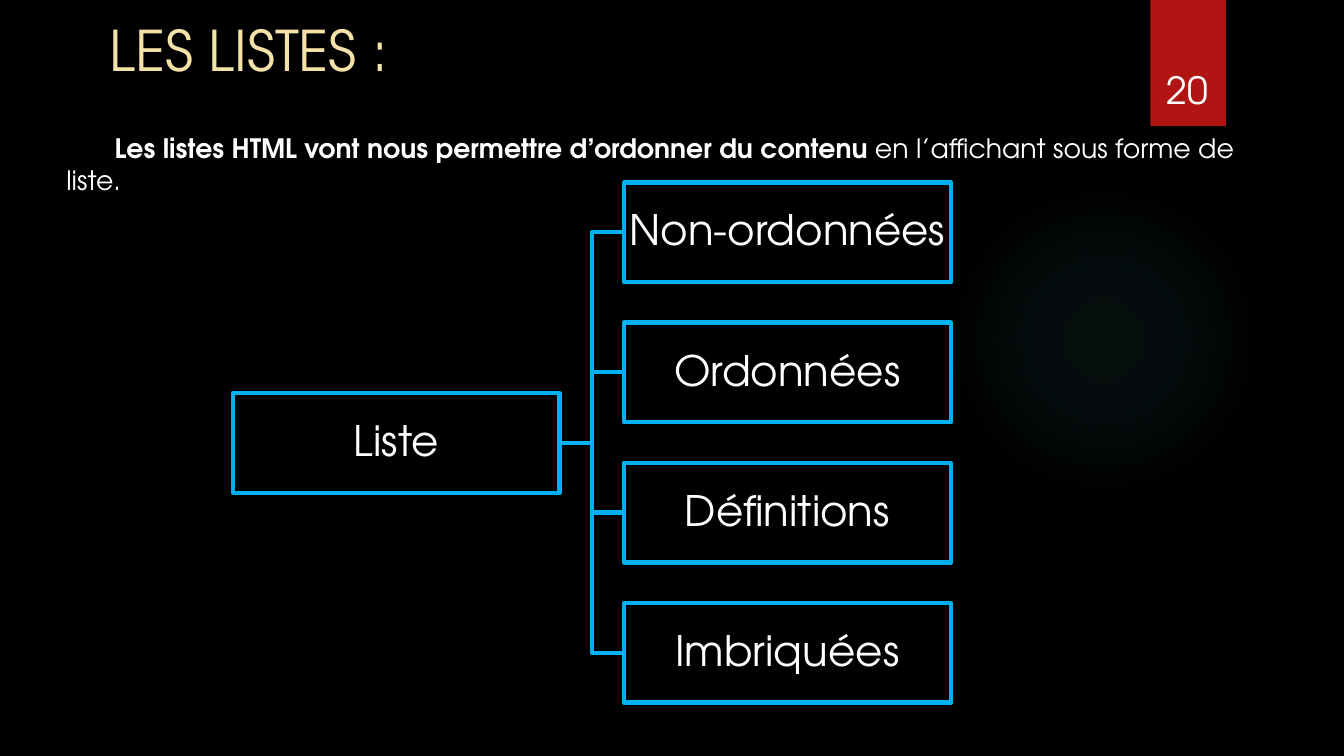
from lxml.etree import SubElement
from pptx import Presentation
from pptx.dml.color import RGBColor
from pptx.enum.shapes import MSO_CONNECTOR, MSO_SHAPE
from pptx.enum.text import MSO_ANCHOR, PP_ALIGN
from pptx.oxml import parse_xml
from pptx.oxml.ns import nsdecls, qn
from pptx.util import Inches, Pt


def rgb(color):
    return RGBColor.from_string(color)


class SlideBuilder:
    FONT = "TeX Gyre Adventor"
    WHITE = "FFFFFF"
    GOLD = "F5E2A9"
    RED = "B01513"
    BLUE = "00B0F0"
    GLOW = "50B9C1"

    def __init__(self, prs):
        self.s = prs.slides.add_slide(prs.slide_layouts[6])
        self.s.background.fill.solid()
        self.s.background.fill.fore_color.rgb = rgb("000000")

    def shape(self, kind, x, y, w, h):
        sp = self.s.shapes.add_shape(kind, Inches(x), Inches(y), Inches(w), Inches(h))
        sp.shadow.inherit = False
        return sp

    def glow(self, x, y, size):
        sp = self.shape(MSO_SHAPE.OVAL, x, y, size, size)
        sp.line.fill.background()
        stops = "".join(
            f'<a:gs pos="{pos}000"><a:srgbClr val="{self.GLOW}">'
            f'<a:alpha val="{alpha}000"/></a:srgbClr></a:gs>'
            for pos, alpha in ((0, 7), (36, 6), (69, 0), (100, 0))
        )
        grad = parse_xml(
            f'<a:gradFill {nsdecls("a")}><a:gsLst>{stops}</a:gsLst><a:path path="circle">'
            '<a:fillToRect l="50000" t="50000" r="50000" b="50000"/></a:path></a:gradFill>'
        )
        sp._element.spPr.find(qn("a:prstGeom")).addnext(grad)

    def banner(self, x, y, w, h):
        sp = self.shape(MSO_SHAPE.RECTANGLE, x, y, w, h)
        sp.fill.solid()
        sp.fill.fore_color.rgb = rgb(self.RED)
        sp.line.fill.background()

    def add_runs(self, tf, runs, size, color, align, anchor):
        tf.word_wrap = True
        tf.vertical_anchor = anchor
        p = tf.paragraphs[0]
        p.alignment = align
        for text, bold in runs:
            r = p.add_run()
            r.text = text
            r.font.name = self.FONT
            r.font.size = Pt(size)
            r.font.bold = bold
            r.font.color.rgb = rgb(color)
        return p

    def text(self, x, y, w, h, runs, size, color=WHITE,
             align=PP_ALIGN.LEFT, anchor=MSO_ANCHOR.TOP):
        sp = self.s.shapes.add_textbox(Inches(x), Inches(y), Inches(w), Inches(h))
        return self.add_runs(sp.text_frame, runs, size, color, align, anchor)

    def node(self, x, y, w, h, label):
        sp = self.shape(MSO_SHAPE.RECTANGLE, x, y, w, h)
        sp.fill.background()
        sp.line.color.rgb = rgb(self.BLUE)
        sp.line.width = Pt(3)
        tf = sp.text_frame
        tf.margin_left = tf.margin_right = tf.margin_top = tf.margin_bottom = Inches(0.02)
        p = self.add_runs(tf, [(label, False)], 30, self.WHITE,
                          PP_ALIGN.CENTER, MSO_ANCHOR.MIDDLE)
        p.line_spacing = 0.9
        return sp

    def link(self, parent, child):
        cn = self.s.shapes.add_connector(MSO_CONNECTOR.ELBOW, 0, 0, 0, 0)
        cn.begin_connect(parent, 3)
        cn.end_connect(child, 1)
        cn.line.color.rgb = rgb(self.BLUE)
        cn.line.width = Pt(3)
        SubElement(cn._element.spPr, qn("a:effectLst"))


def main():
    prs = Presentation()
    prs.slide_width = Inches(13.33)
    prs.slide_height = Inches(7.5)
    b = SlideBuilder(prs)

    b.glow(9.41, 1.83, 3.08)
    b.banner(11.41, 0, 0.75, 1.25)
    b.text(0.99, 0.1, 9.8, 0.92, [("LES LISTES :", False)], 40, b.GOLD)
    intro = b.text(0.56, 1.26, 11.83, 6.24, [
        ("Les listes HTML vont nous permettre d’ordonner du contenu", True),
        (" en l’affichant sous forme de liste.", False),
    ], 19.1)
    intro._p.get_or_add_pPr().set("indent", str(Inches(0.48)))

    w, h = 3.24, 0.99
    root = b.node(2.31, 3.9, w, h, "Liste")
    kinds = ["Non-ordonnées", "Ordonnées", "Définitions", "Imbriquées"]
    for i, kind in enumerate(kinds):
        b.link(root, b.node(6.19, 1.81 + 1.39 * i, w, h, kind))

    b.text(11.32, 0.32, 0.92, 0.84, [("20", False)], 26.7,
           align=PP_ALIGN.CENTER, anchor=MSO_ANCHOR.BOTTOM)
    prs.save("out.pptx")


if __name__ == "__main__":
    main()
